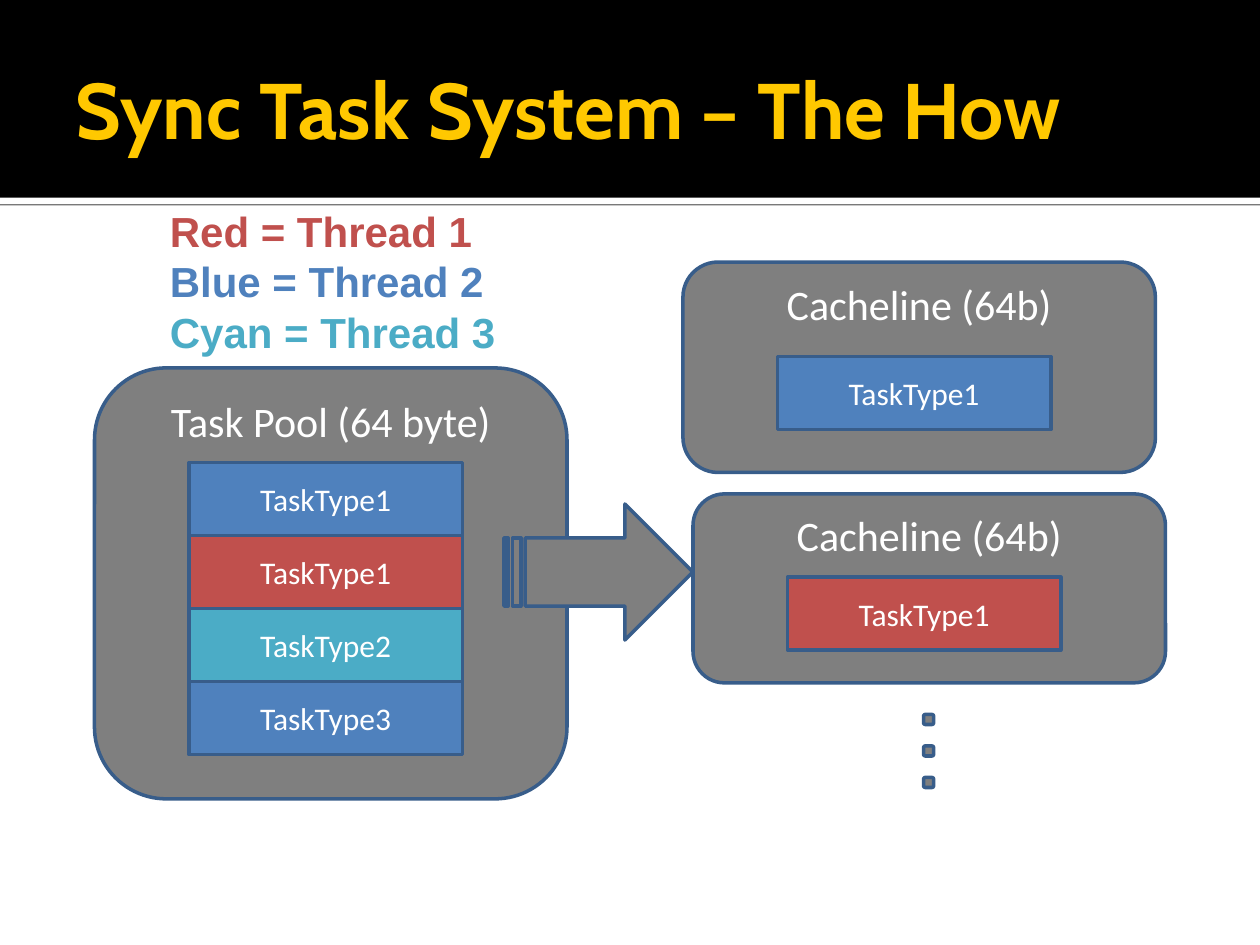
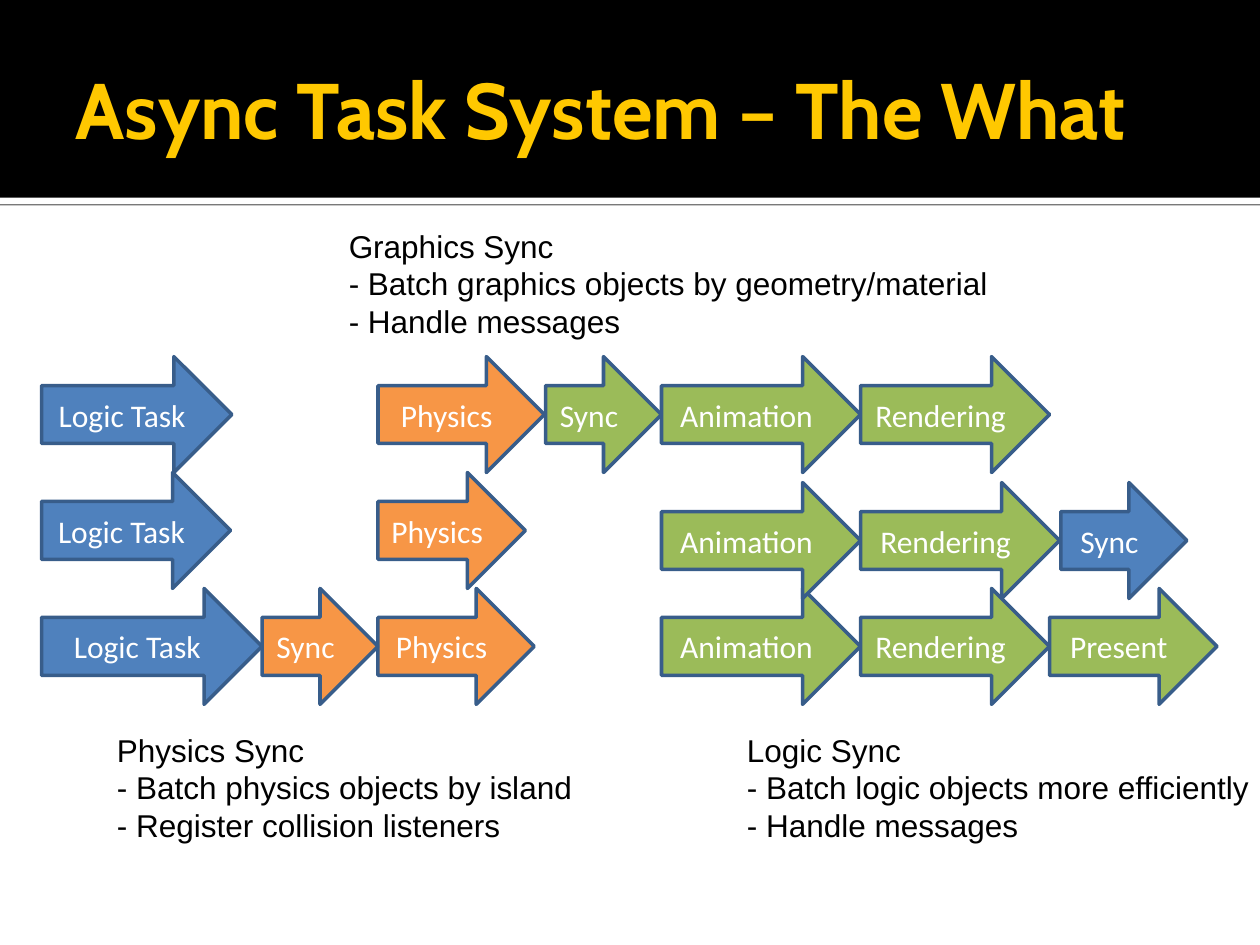
from lxml import etree
from pptx import Presentation
from pptx.dml.color import RGBColor
from pptx.enum.shapes import MSO_SHAPE as Preset
from pptx.enum.text import MSO_ANCHOR as Anchor, MSO_AUTO_SIZE as AutoSize, PP_ALIGN as Align
from pptx.oxml.ns import qn
from pptx.util import Inches, Pt

COLORS = {
    "black": "000000", "white": "FFFFFF", "title": "FFC800", "outline": "385D8A",
    "gray": "7F7F7F", "blue": "4F81BD", "red": "C0504D", "cyan": "4BACC6",
    "orange": "F79646", "green": "9BBB59",
}
COLORS = {name: RGBColor.from_string(value) for name, value in COLORS.items()}


def add_block(slide, preset, bounds, fill, text="", size=18, anchor=Anchor.MIDDLE):
    """Add an outlined preset shape with centred white text."""
    shape = slide.shapes.add_shape(preset, *map(Inches, bounds))
    shape.shadow.inherit = False
    shape.fill.solid()
    shape.fill.fore_color.rgb = COLORS[fill]
    shape.line.color.rgb = COLORS["outline"]
    shape.line.width = Pt(2)
    if text:
        shape.text_frame.vertical_anchor = anchor
        paragraph = shape.text_frame.paragraphs[0]
        paragraph.alignment = Align.CENTER
        run = paragraph.add_run()
        run.text = text
        run.font.name = "Calibri"
        run.font.size = Pt(size)
        run.font.color.rgb = COLORS["white"]
    return shape


def add_note(slide, bounds, lines, size=18, bold=False):
    """Add a text box with one paragraph for each (text, color) line."""
    frame = slide.shapes.add_textbox(*map(Inches, bounds)).text_frame
    frame.word_wrap = True
    for index, (text, color) in enumerate(lines):
        paragraph = frame.add_paragraph() if index else frame.paragraphs[0]
        run = paragraph.add_run()
        run.text = text
        run.font.name = "Arial"
        run.font.size = Pt(size)
        run.font.bold = bold
        run.font.color.rgb = COLORS[color]


presentation = Presentation()
presentation.slide_width = Inches(10)
presentation.slide_height = Inches(7.5)
layout = presentation.slide_layouts[5]

# Slides and their titles
slides = []
for title_text in ("Sync Task System – The How", "Async Task System – The What"):
    slide = presentation.slides.add_slide(layout)
    slides.append(slide)
    title = slide.shapes.title
    title.left, title.top, title.width, title.height = map(Inches, (0.5, 0.17, 9, 1.37))
    frame = title.text_frame
    frame.auto_size = AutoSize.NONE
    frame.vertical_anchor = Anchor.MIDDLE
    frame.margin_left = Inches(0.1)
    frame.margin_top = frame.margin_right = frame.margin_bottom = Inches(0.05)
    paragraph = frame.paragraphs[0]
    paragraph.alignment = Align.LEFT
    run = paragraph.add_run()
    run.text = title_text
    run.font.name = "Cabin"
    run.font.size = Pt(45)
    run.font.bold = True
    run.font.color.rgb = COLORS["title"]
sync_slide, async_slide = slides

# Header bands, moved into the shared layout behind its placeholders
for index, (top, height, color) in enumerate([(1.57, 0.05, "white"), (0, 1.57, "black")]):
    band = add_block(sync_slide, Preset.RECTANGLE, (0, top, 10, height), color)
    band.line.fill.background()
    if color == "white":
        effects = band._element.spPr.find(qn("a:effectLst"))
        shadow = etree.SubElement(effects, qn("a:outerShdw"), blurRad="0",
                                  dist=str(Pt(0.8)), dir="5400000")
        shadow_color = etree.SubElement(shadow, qn("a:srgbClr"), val="000000")
        etree.SubElement(shadow_color, qn("a:alpha"), val="60000")
    band._element.nvSpPr.cNvPr.set("id", str(20 + index))
    layout.shapes._spTree.insert(2 + index, band._element)

# Sync slide: task pool
task_width, task_height = 2.17, 0.58
add_block(sync_slide, Preset.ROUNDED_RECTANGLE, (0.75, 2.92, 3.75, 3.42), "gray",
          "Task Pool (64 byte)", 24, Anchor.TOP)
pool_tasks = [("TaskType1", "blue"), ("TaskType1", "red"),
              ("TaskType2", "cyan"), ("TaskType3", "blue")]
for row, (name, color) in enumerate(pool_tasks):
    add_block(sync_slide, Preset.RECTANGLE,
              (1.5, 3.67 + row * task_height, task_width, task_height), color, name)

# Sync slide: arrow to the cachelines
add_block(sync_slide, Preset.STRIPED_RIGHT_ARROW, (4, 4, 1.5, 1.08), "gray")

# Sync slide: cachelines with one task each
for left, top, height, task_top, color in [(5.42, 2.08, 1.67, 2.83, "blue"),
                                           (5.5, 3.92, 1.5, 4.58, "red")]:
    add_block(sync_slide, Preset.ROUNDED_RECTANGLE, (left, top, 3.75, height), "gray",
              "Cacheline (64b)", 24, Anchor.TOP)
    add_block(sync_slide, Preset.RECTANGLE,
              (left + 0.75, task_top, task_width, task_height), color, "TaskType1")

# Sync slide: thread legend and continuation dots
add_note(sync_slide, (1.25, 1.58, 3, 1.3),
         [("Red = Thread 1", "red"), ("Blue = Thread 2", "blue"), ("Cyan = Thread 3", "cyan")],
         size=24, bold=True)
for dot in range(3):
    add_block(sync_slide, Preset.ROUNDED_RECTANGLE,
              (7.33, 5.67 + dot * 0.25, 0.08, 0.08), "gray")

# Async slide: task arrows by column, each with (top, width) in drawing order
arrow_columns = [
    ("Logic Task", "blue", 0.33, [(2.83, 1.51), (3.75, 1.5), (4.67, 1.75)]),
    ("Animation", "green", 5.25, [(4.67, 1.58), (2.83, 1.58), (3.83, 1.58)]),
    ("Rendering", "green", 6.83, [(2.83, 1.5), (3.83, 1.58), (4.67, 1.5)]),
    ("Sync", "green", 4.33, [(2.83, 0.92)]),
    ("Physics", "orange", 3, [(3.75, 1.17), (2.83, 1.32), (4.67, 1.24)]),
    ("Sync", "orange", 2.08, [(4.67, 0.92)]),
    ("Present", "green", 8.33, [(4.67, 1.33)]),
    ("Sync", "blue", 8.42, [(3.83, 1)]),
]
for name, color, left, arrows in arrow_columns:
    for top, width in arrows:
        add_block(async_slide, Preset.RIGHT_ARROW, (left, top, width, 0.92), color, name)

# Async slide: notes on the sync points
sync_notes = [
    (0.83, 5.75, 3.83, ["Physics Sync", "- Batch physics objects by island",
                        "- Register collision listeners"]),
    (2.67, 1.75, 5.33, ["Graphics Sync", "- Batch graphics objects by geometry/material",
                        "- Handle messages"]),
    (5.83, 5.75, 4.33, ["Logic Sync", "- Batch logic objects more efficiently",
                        "- Handle messages"]),
]
for left, top, width, lines in sync_notes:
    add_note(async_slide, (left, top, width, 1), [(line, "black") for line in lines])

presentation.save("out.pptx")
